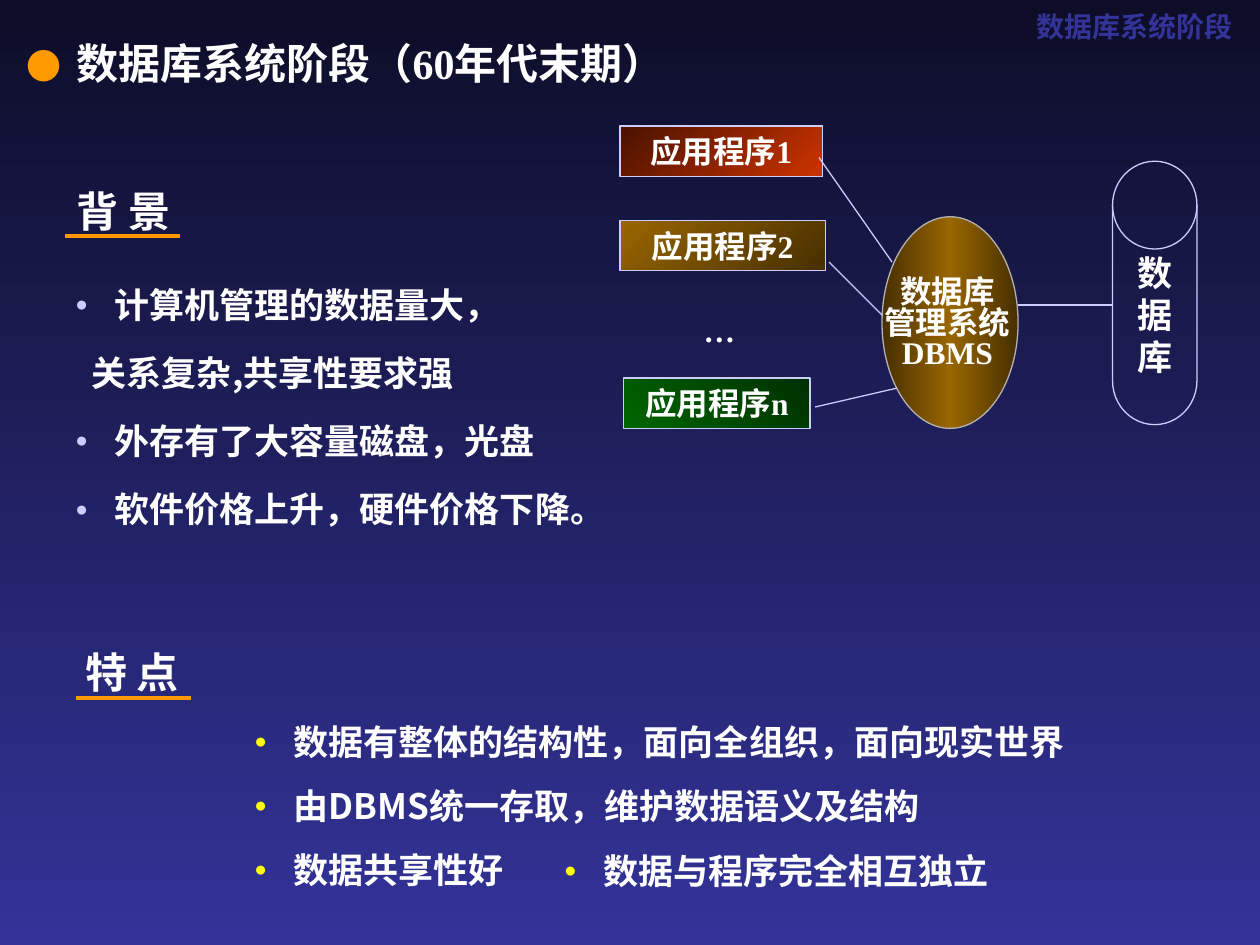
from copy import deepcopy

from lxml import etree
from pptx import Presentation
from pptx.dml.color import RGBColor
from pptx.enum import shapes, text
from pptx.oxml import ns
from pptx.util import Inches, Pt

COLORS = {
    "night": "0D0D28", "blue": "333399", "white": "FFFFFF", "orange": "FF9900",
    "lavender": "CCCCFF", "yellow": "FFFF00", "gray": "B2B2B2",
    "dark_red": "4A1200", "red": "CC3300", "brown": "996600",
    "dark_brown": "472F00", "green": "006600", "dark_green": "002F00",
}
RGB = {name: RGBColor.from_string(value) for name, value in COLORS.items()}
LATIN, CJK = "Times New Roman", "Noto Sans CJK SC"


def fill_gradient(fill, names, angle):
    """Spread the named colours evenly; the angle is counterclockwise."""
    fill.gradient()
    fill.gradient_angle = angle
    stop_list = fill.gradient_stops[0]._gs.getparent()
    while len(stop_list) < len(names):
        stop_list.append(deepcopy(stop_list[0]))
    for index, (stop, name) in enumerate(zip(fill.gradient_stops, names)):
        stop.position = index / (len(names) - 1)
        stop.color.rgb = RGB[name]


def write(shape, lines, size, font=LATIN, color="white",
          align=text.PP_ALIGN.CENTER, anchor=text.MSO_ANCHOR.MIDDLE):
    """Set one paragraph per line and format every run; return the paragraphs."""
    frame = shape.text_frame
    frame.word_wrap = True
    frame.vertical_anchor = anchor
    frame.text = "\n".join(lines)
    for paragraph in frame.paragraphs:
        paragraph.alignment = align
        for run in paragraph.runs:
            run.font.name, run.font.size, run.font.bold = font, Pt(size), True
            run.font.color.rgb = RGB[color]
            east_asian = etree.SubElement(run.font._element, ns.qn("a:ea"))
            east_asian.set("typeface", CJK)
    return frame.paragraphs


presentation = Presentation()
presentation.slide_width, presentation.slide_height = Inches(10), Inches(7.5)
slide = presentation.slides.add_slide(presentation.slide_layouts[5])
fill_gradient(slide.background.fill, ["night", "blue"], 270)

# Title in the top right corner
title = slide.shapes.title
title.left, title.top = Inches(7.92), Inches(0.08)
title.width, title.height = Inches(2.17), Inches(0.25)
write(title, ["数据库系统阶段"], 16, color="blue")
frame = title.text_frame
frame.margin_left = frame.margin_right = frame.margin_top = frame.margin_bottom = 0

# Stage heading: the dot and the text are parted by a tab stop
heading = slide.shapes.add_textbox(Inches(0.11), Inches(0.25), Inches(5.41), Inches(0.5))
paragraph = write(heading, ["数据库系统阶段（60年代末期）"], 24,
                  align=text.PP_ALIGN.LEFT, anchor=text.MSO_ANCHOR.TOP)[0]
tab_list = etree.SubElement(paragraph._p.get_or_add_pPr(), ns.qn("a:tabLst"))
etree.SubElement(tab_list, ns.qn("a:tab"), pos=str(Inches(0.4)), algn="l")
stage_run = paragraph.runs[0]._r
stage_run.addprevious(deepcopy(stage_run))
dot = paragraph.runs[0]
dot.text = "●\t"
dot.font.size, dot.font.bold = Pt(20), False
dot.font.color.rgb = RGB["orange"]

# Management system ellipse
ellipse = slide.shapes.add_shape(shapes.MSO_SHAPE.OVAL, Inches(7), Inches(1.72),
                                 Inches(1.08), Inches(1.68))
ellipse.shadow.inherit = False
fill_gradient(ellipse.fill, ["dark_brown", "brown", "dark_brown"], 0)
ellipse.line.color.rgb, ellipse.line.width = RGB["gray"], Pt(0.75)
system_label = slide.shapes.add_textbox(Inches(6.92), Inches(2.17), Inches(1.2), Inches(0.85))
for paragraph in write(system_label, ["数据库", "管理系统", "DBMS"], 18,
                       anchor=text.MSO_ANCHOR.TOP):
    paragraph.line_spacing = 0.8

# Application programs
for label, left, top, width, names, angle in [
    ("应用程序1", 4.92, 1, 1.61, ["dark_red", "red"], 315),
    ("应用程序2", 4.92, 1.75, 1.63, ["brown", "dark_brown"], 315),
    ("应用程序n", 4.95, 3, 1.48, ["green", "dark_green"], 45),
]:
    program = slide.shapes.add_shape(shapes.MSO_SHAPE.RECTANGLE, Inches(left), Inches(top),
                                     Inches(width), Inches(0.4))
    program.shadow.inherit = False
    fill_gradient(program.fill, names, angle)
    program.line.color.rgb, program.line.width = RGB["lavender"], Pt(0.75)
    write(program, [label], 18)
ellipsis = slide.shapes.add_textbox(Inches(5.25), Inches(2.42), Inches(0.92), Inches(0.4))
write(ellipsis, ["…"], 18)

# Database
database = slide.shapes.add_shape(shapes.MSO_SHAPE.FLOWCHART_MAGNETIC_DISK,
                                  Inches(8.83), Inches(1.28), Inches(0.67), Inches(2.09))
database.shadow.inherit = False
database.fill.background()
database.line.color.rgb, database.line.width = RGB["lavender"], Pt(0.75)
write(database, ["数据库"], 20)

# Links of the diagram and underlines of the section headings
for x1, y1, x2, y2, color, width in [
    (6.5, 1.25, 7.08, 2.08, "lavender", 0.75),
    (6.58, 2.08, 7, 2.5, "lavender", 0.75),
    (7.12, 3.08, 6.47, 3.23, "lavender", 0.75),
    (8.08, 2.42, 8.83, 2.42, "lavender", 0.75),
    (0.52, 1.87, 1.43, 1.87, "orange", 2.25),
    (0.6, 5.54, 1.52, 5.54, "orange", 2.25),
]:
    line = slide.shapes.add_connector(shapes.MSO_CONNECTOR.STRAIGHT, Inches(x1), Inches(y1),
                                      Inches(x2), Inches(y2))
    line.line.color.rgb, line.line.width = RGB[color], Pt(width)
    etree.SubElement(line._element.spPr, ns.qn("a:effectLst"))

# Section headings
for label, left, top in [("背 景", 0.51, 1.42), ("特 点", 0.58, 5.08)]:
    section = slide.shapes.add_textbox(Inches(left), Inches(top), Inches(1.33), Inches(0.5))
    write(section, [label], 24, align=text.PP_ALIGN.LEFT, anchor=text.MSO_ANCHOR.TOP)

# Bulleted lists; the continuation line has no bullet of its own
continuation = "关系复杂,共享性要求强"
for left, top, width, height, color, spacing, lines in [
    (0, 2.17, 5.67, 2.09, "lavender", 1.1,
     ["计算机管理的数据量大，", continuation, "外存有了大容量磁盘，光盘",
      "软件价格上升，硬件价格下降。"]),
    (1.42, 5.67, 8, 1.45, "yellow", 1,
     ["数据有整体的结构性，面向全组织，面向现实世界",
      "由DBMS统一存取，维护数据语义及结构", "数据共享性好"]),
    (3.88, 6.69, 5, 0.43, "yellow", 1, ["数据与程序完全相互独立"]),
]:
    box = slide.shapes.add_textbox(Inches(left), Inches(top), Inches(width), Inches(height))
    paragraphs = write(box, lines, 20, CJK, align=text.PP_ALIGN.LEFT,
                       anchor=text.MSO_ANCHOR.TOP)
    for index, paragraph in enumerate(paragraphs):
        paragraph.line_spacing = float(spacing)
        if index:
            paragraph.space_before = Pt(12.5)
        properties = paragraph._p.get_or_add_pPr()
        if paragraph.text == continuation:
            properties.set("marL", str(Inches(0.63)))
            continue
        properties.set("marL", str(Inches(0.81)))
        properties.set("indent", str(Inches(-0.31)))
        bullet_color = etree.SubElement(properties, ns.qn("a:buClr"))
        etree.SubElement(bullet_color, ns.qn("a:srgbClr"), val=COLORS[color])
        etree.SubElement(properties, ns.qn("a:buSzPct"), val="60000")
        etree.SubElement(properties, ns.qn("a:buFont"), typeface=LATIN)
        etree.SubElement(properties, ns.qn("a:buChar"), char="●")

presentation.save("out.pptx")
